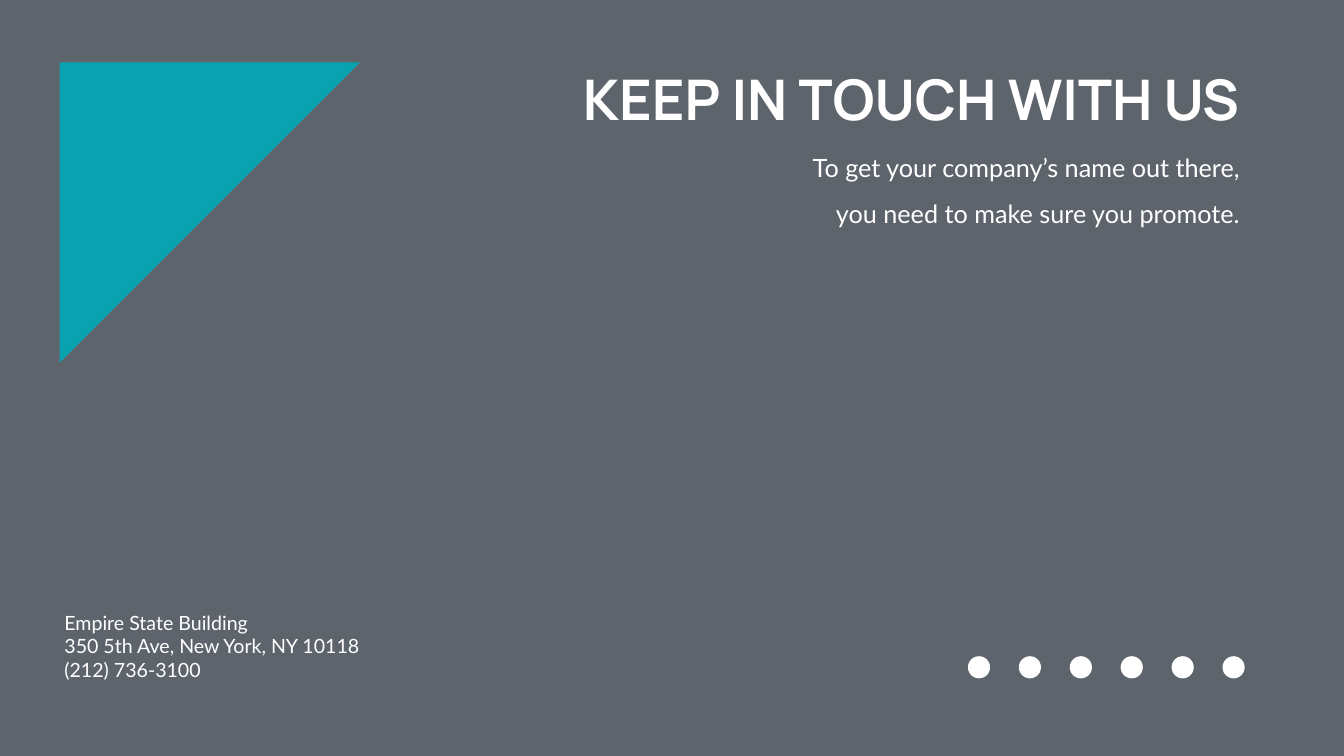
from dataclasses import dataclass

from lxml import etree
from pptx import Presentation
from pptx import util as u
from pptx.dml.color import RGBColor
from pptx.enum import shapes, text
from pptx.oxml.ns import qn

COLS, ROWS = 26.66, 15
CELL = u.Inches(1)


@dataclass(frozen=True)
class Theme:
    slate: str = "363E48"
    teal: str = "09A2B1"
    white: str = "FFFFFF"
    head: str = "Manrope"
    body: str = "Lato"
    title: int = 80
    lead: int = 36
    small: int = 28


@dataclass(frozen=True)
class Box:
    col: float
    row: float
    wide: float
    high: float

    def span(self) -> list[int]:
        return [round(n * CELL) for n in (self.col, self.row, self.wide, self.high)]


@dataclass(frozen=True)
class Label:
    box: Box
    words: str
    font: str
    size: int
    align: text.PP_ALIGN
    bold: bool = False
    lines: float = 1.0


THEME = Theme()
LEFT, TOP = 1.18, 1.24
RIGHT = text.PP_ALIGN.RIGHT

LABELS = [
    Label(Box(6.56, TOP, 18.13, 1.45), "KEEP IN TOUCH WITH US",
          THEME.head, THEME.title, RIGHT, bold=True),
    Label(Box(15.64, 2.68, 9.05, 1.8),
          "To get your company’s name out there, you need to make sure you promote.",
          THEME.body, THEME.lead, RIGHT, lines=1.5),
    Label(Box(LEFT, 12.07, 6.36, 1.51),
          "Empire State Building\n350 5th Ave, New York, NY 10118\n(212) 736-3100",
          THEME.body, THEME.small, text.PP_ALIGN.LEFT),
]

ICONS, FIRST, PITCH, DOT = 6, 19.2, 1.01, 0.44


def draw_shape(slide, kind: shapes.MSO_SHAPE, box: Box, color: str):
    shape = slide.shapes.add_shape(kind, *box.span())
    shape.shadow.inherit = False
    shape.fill.solid()
    shape.fill.fore_color.rgb = RGBColor.from_string(color)
    shape.line.fill.background()
    return shape


def fade(shape, share: float) -> None:
    tint = shape.fill._xPr.find(qn("a:solidFill"))[0]
    etree.SubElement(tint, qn("a:alpha")).set("val", str(round(share * 100000)))


def draw_label(slide, label: Label) -> None:
    frame = slide.shapes.add_textbox(*label.box.span()).text_frame
    frame.word_wrap = True
    frame.text = label.words
    for para in frame.paragraphs:
        para.alignment = label.align
        para.line_spacing = label.lines
        for run in para.runs:
            run.font.name = label.font
            run.font.size = u.Pt(label.size)
            run.font.bold = label.bold
            run.font.color.rgb = RGBColor.from_string(THEME.white)


def main() -> None:
    deck = Presentation()
    deck.slide_width, deck.slide_height = round(COLS * CELL), ROWS * CELL
    slide = deck.slides.add_slide(deck.slide_layouts[6])

    cover = draw_shape(slide, shapes.MSO_SHAPE.RECTANGLE, Box(0, 0, COLS, ROWS), THEME.slate)
    fade(cover, 0.8)
    corner = draw_shape(slide, shapes.MSO_SHAPE.RIGHT_TRIANGLE,
                        Box(LEFT, TOP, 5.96, 5.96), THEME.teal)
    corner.rotation = 90

    for label in LABELS:
        draw_label(slide, label)
    for i in range(ICONS):
        draw_shape(slide, shapes.MSO_SHAPE.OVAL,
                   Box(FIRST + i * PITCH, 13.02, DOT, DOT), THEME.white)

    deck.save("out.pptx")


if __name__ == "__main__":
    main()
